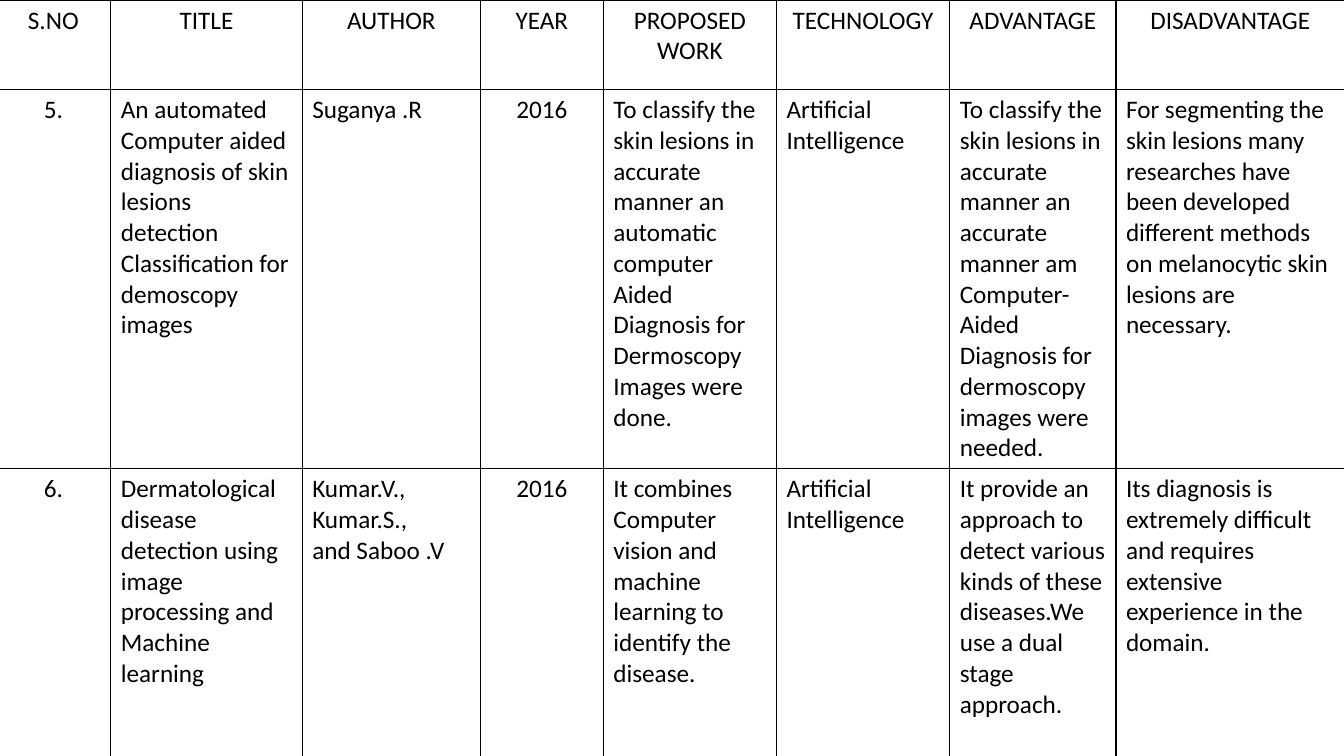
from dataclasses import dataclass

from lxml import etree
from pptx import Presentation
from pptx.dml.color import RGBColor
from pptx.enum.text import PP_ALIGN
from pptx.oxml.ns import qn
from pptx.util import Pt

LEFT, CENTER = PP_ALIGN.LEFT, PP_ALIGN.CENTER


@dataclass(frozen=True)
class Theme:
    """Colours and type sizes of the deck."""
    font: str = "Calibri"
    size: int = 18
    ink: str = "000000"
    paper: str = "FFFFFF"
    border: int = 1


THEME = Theme()
PAGE_SIZE = (960, 540)
TABLE_BOX = (-2.9, 0, 963.4, 539)
COLUMN_WIDTHS = (82.1, 136.8, 127.4, 87.8, 123.8, 123.8, 118.8, 163.4)
ROW_HEIGHTS = (64, 266, 209)
CENTERED_COLUMNS = ("S.NO", "YEAR")
HEADINGS = ("S.NO", "TITLE", "AUTHOR", "YEAR", "PROPOSED WORK",
            "TECHNOLOGY", "ADVANTAGE", "DISADVANTAGE")
PAPERS = (
    ("5.",
     "An automated\nComputer aided diagnosis of skin lesions detection\n"
     "Classification for demoscopy images",
     "Suganya .R",
     "2016",
     "To classify the skin lesions in accurate manner an automatic computer "
     "Aided Diagnosis for\nDermoscopy\nImages were done.",
     "Artificial\nIntelligence",
     "To classify the skin lesions in accurate manner an accurate manner am "
     "Computer-Aided Diagnosis for dermoscopy images were needed.",
     "For segmenting the skin lesions many researches have been developed "
     "different methods on melanocytic skin lesions are necessary."),
    ("6.",
     "Dermatological\ndisease detection using image processing and\n"
     "Machine learning",
     "Kumar.V.,\nKumar.S.,\nand Saboo .V",
     "2016",
     "It combines Computer vision and machine learning to identify the disease.",
     "Artificial Intelligence",
     "It provide an approach to detect various kinds of these diseases.We use "
     "a dual stage approach.",
     "Its diagnosis is extremely difficult and requires extensive experience "
     "in the domain."),
)


def draw_borders(cell):
    """Rule all four sides of a cell."""
    properties = cell._tc.get_or_add_tcPr()
    for side in ("a:lnL", "a:lnR", "a:lnT", "a:lnB"):
        line = etree.SubElement(properties, qn(side), w=str(Pt(THEME.border)))
        fill = etree.SubElement(line, qn("a:solidFill"))
        etree.SubElement(fill, qn("a:srgbClr"), val=THEME.ink)


def fill_cell(cell, text, alignment):
    """Write a cell's text and give it the plain ruled look."""
    draw_borders(cell)
    cell.fill.solid()
    cell.fill.fore_color.rgb = RGBColor.from_string(THEME.paper)
    cell.text = text
    font_format = {"name": THEME.font, "size": Pt(THEME.size), "bold": False}
    for para in cell.text_frame.paragraphs:
        para.alignment = alignment
        for span in para.runs:
            for name, value in font_format.items():
                setattr(span.font, name, value)
            span.font.color.rgb = RGBColor.from_string(THEME.ink)


def add_survey_table(page, box):
    """Place the literature survey table in the given box."""
    rows = (HEADINGS, *PAPERS)
    left, top, width, height = map(Pt, box)
    table = page.shapes.add_table(
        len(rows), len(HEADINGS), left, top, width, height).table
    table.first_row = table.horz_banding = False
    for column, share in zip(table.columns, COLUMN_WIDTHS):
        column.width = int(width * share / sum(COLUMN_WIDTHS))
    for row, share in zip(table.rows, ROW_HEIGHTS):
        row.height = int(height * share / sum(ROW_HEIGHTS))
    for row_index, texts in enumerate(rows):
        for column_index, (heading, text) in enumerate(zip(HEADINGS, texts)):
            centered = row_index == 0 or heading in CENTERED_COLUMNS
            fill_cell(table.cell(row_index, column_index), text,
                      CENTER if centered else LEFT)


def main():
    """Build and save the one-page deck."""
    deck = Presentation()
    deck.slide_width, deck.slide_height = map(Pt, PAGE_SIZE)
    page = deck.slides.add_slide(deck.slide_layouts[6])
    add_survey_table(page, TABLE_BOX)
    deck.save("out.pptx")


if __name__ == "__main__":
    main()
